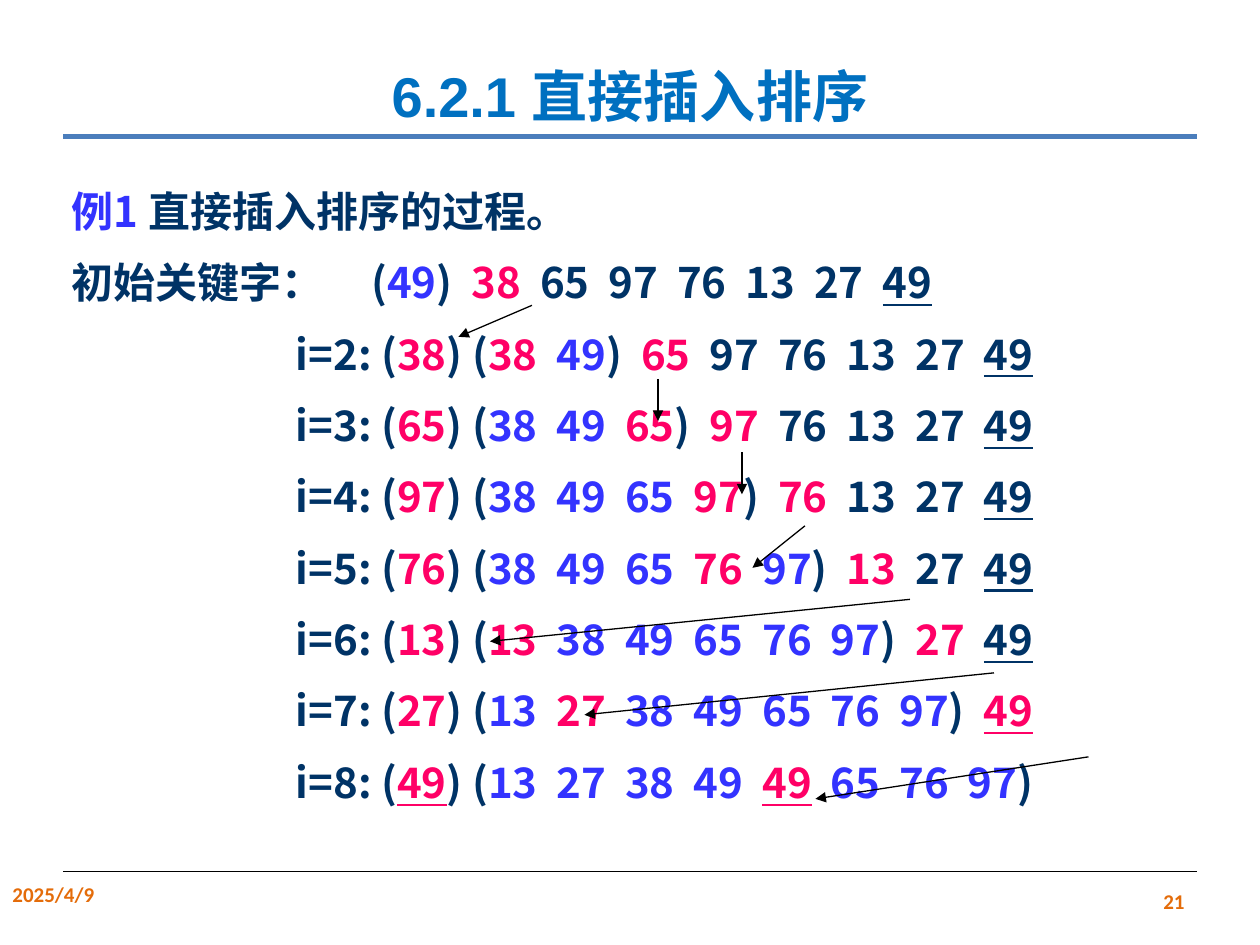
from lxml.etree import SubElement
from pptx import Presentation
from pptx.dml.color import RGBColor
from pptx.enum.shapes import MSO_CONNECTOR
from pptx.enum.text import MSO_ANCHOR, MSO_AUTO_SIZE, PP_ALIGN
from pptx.oxml.ns import qn
from pptx.util import Pt

BLUE = RGBColor(0x33, 0x33, 0xFF)
NAVY = RGBColor(0x00, 0x33, 0x66)
PINK = RGBColor(0xFF, 0x00, 0x66)
TITLE_BLUE = RGBColor(0x00, 0x70, 0xC0)
RULE_BLUE = RGBColor(0x4B, 0x7E, 0xBC)
ORANGE = RGBColor(0xE4, 0x6C, 0x0A)
BLACK = RGBColor(0, 0, 0)
CJK = "Noto Sans CJK SC"

TITLE = "6.2.1 直接插入排序"
EXAMPLE = [("例1 ", BLUE), ("直接插入排序的过程。", NAVY)]
START_LABEL = "初始关键字："
KEYS = [49, 38, 65, 97, 76, 13, 27, 49]
REPEATED = len(KEYS) - 1
FOOTERS = [
    ("2025/4/9", 0, PP_ALIGN.LEFT, MSO_ANCHOR.TOP),
    ("21", 516, PP_ALIGN.RIGHT, MSO_ANCHOR.MIDDLE),
]
RULES = [(78, RULE_BLUE, 2.75), (498, BLACK, 0.75)]
ARROWS = [
    (304, 174.5, 262, 192.5),
    (376, 216.5, 376, 240.5),
    (424, 258.5, 424, 282.5),
    (460, 300.5, 430, 324.5),
    (520, 342.5, 280, 366.5),
    (568, 384.5, 334, 408.5),
    (622, 432.5, 466, 456.5),
]

STEP_INDENT = 128
LABEL_GAP = 21.6
KEY_GAP = 5.4


def add_text(p, text, size=24, font=CJK, color=NAVY, underline=False, spacing=0):
    r = p.add_run()
    r.text = text
    f = r.font
    f.size, f.name, f.bold = Pt(size), font, True
    f.color.rgb = color
    f.underline = underline
    rPr = r._r.get_or_add_rPr()
    SubElement(rPr, qn("a:ea"), typeface=CJK)
    if spacing:
        rPr.set("spc", str(round(spacing * 100)))


def set_layout(p, left, before):
    pPr = p._p.get_or_add_pPr()
    pPr.set("marL", str(Pt(left)))
    pPr.set("indent", "0")
    SubElement(pPr, qn("a:buNone"))
    p.space_before = Pt(before)


def add_line(s, x1, y1, x2, y2, color=BLACK, width=0.75, arrow=False):
    c = s.shapes.add_connector(MSO_CONNECTOR.STRAIGHT, Pt(x1), Pt(y1), Pt(x2), Pt(y2))
    c.line.color.rgb = color
    c.line.width = Pt(width)
    if arrow:
        SubElement(c.line._get_or_add_ln(), qn("a:tailEnd"), type="triangle")
    SubElement(c._element.spPr, qn("a:effectLst"))


def add_sort_row(p, count):
    first = count == 1
    new = count - 1
    set_layout(p, 0 if first else STEP_INDENT, 12)
    if first:
        add_text(p, START_LABEL)
        add_text(p, " ", spacing=LABEL_GAP)
        add_text(p, "(")
    else:
        add_text(p, f"i={count}: (")
        add_text(p, str(KEYS[new]), color=PINK, underline=new == REPEATED)
        add_text(p, ") (")

    done = sorted(range(count), key=lambda k: KEYS[k])
    for j, k in enumerate(done + list(range(count, len(KEYS)))):
        if j:
            add_text(p, " ", spacing=KEY_GAP)
        if k == count or (k == new and not first):
            color = PINK
        else:
            color = BLUE if k < count else NAVY
        add_text(p, str(KEYS[k]), color=color, underline=k == REPEATED)
        if j == new:
            add_text(p, ")")


def place(sp, left, top, width, height, anchor):
    sp.left, sp.top, sp.width, sp.height = Pt(left), Pt(top), Pt(width), Pt(height)
    tf = sp.text_frame
    tf.word_wrap = True
    tf.auto_size = MSO_AUTO_SIZE.NONE
    tf.vertical_anchor = anchor
    return tf


def main():
    prs = Presentation()
    prs.slide_width, prs.slide_height = Pt(720), Pt(540)
    s = prs.slides.add_slide(prs.slide_layouts[1])

    p = place(s.shapes.title, 36, 0, 648, 90, MSO_ANCHOR.MIDDLE).paragraphs[0]
    p.alignment = PP_ALIGN.CENTER
    p.line_spacing = 1.5
    add_text(p, TITLE, size=32, font="Arial", color=TITLE_BLUE)

    tf = place(s.placeholders[1], 33.84, 102.24, 653.76, 424, MSO_ANCHOR.TOP)
    p = tf.paragraphs[0]
    set_layout(p, 0, 0)
    for text, color in EXAMPLE:
        add_text(p, text, color=color)
    for count in range(1, len(KEYS) + 1):
        add_sort_row(tf.add_paragraph(), count)

    for text, left, align, anchor in FOOTERS:
        sp = s.shapes.add_textbox(0, 0, 0, 0)
        p = place(sp, left, 500.4, 168, 28.8, anchor).paragraphs[0]
        p.alignment = align
        add_text(p, text, size=12, font="Calibri", color=ORANGE)

    for y, color, width in RULES:
        add_line(s, 36, y, 684, y, color, width)
    for ends in ARROWS:
        add_line(s, *ends, arrow=True)

    prs.save("out.pptx")


if __name__ == "__main__":
    main()
